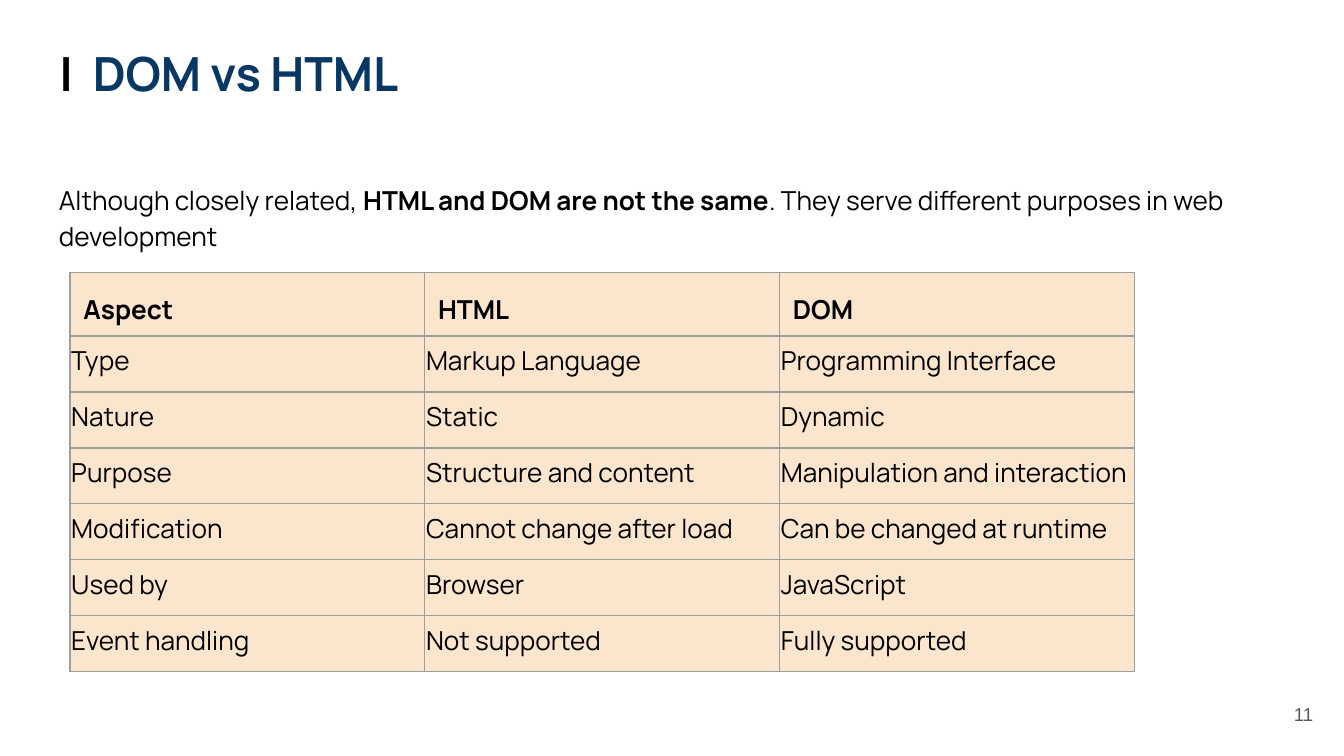
from lxml.etree import SubElement
from pptx import Presentation
from pptx.dml.color import RGBColor
from pptx.enum.text import MSO_ANCHOR as Anchor, MSO_AUTO_SIZE as AutoSize, PP_ALIGN as Align
from pptx.oxml.ns import qn
from pptx.util import Inches, Pt

FONT = "Manrope"
BLACK = "000000"
NAVY = "073763"
GREY = "595959"
PEACH = "FCE5CD"
BORDER = "9E9E9E"

ROWS = [
    ("Aspect", "HTML", "DOM"),
    ("Type", "Markup Language", "Programming Interface"),
    ("Nature", "Static", "Dynamic"),
    ("Purpose", "Structure and content", "Manipulation and interaction"),
    ("Modification", "Cannot change after load", "Can be changed at runtime"),
    ("Used by", "Browser", "JavaScript"),
    ("Event handling", "Not supported", "Fully supported"),
]
HEADER_HEIGHT = Inches(0.47)
ROW_HEIGHT = Inches(2.5) // 6


def rgb(color):
    return RGBColor.from_string(color)


def format_run(run, size, color=BLACK, bold=False, font=FONT):
    run.font.name = font
    run.font.size = Pt(size)
    run.font.bold = bold
    run.font.color.rgb = rgb(color)


def add_run(paragraph, text, size, color=BLACK, bold=False):
    run = paragraph.add_run()
    run.text = text
    format_run(run, size, color, bold)


def set_margins(target, margin):
    target.margin_left = target.margin_right = Inches(margin)
    target.margin_top = target.margin_bottom = Inches(margin)


def prepare_frame(shape, anchor=Anchor.TOP):
    text_frame = shape.text_frame
    text_frame.word_wrap = True
    text_frame.auto_size = AutoSize.NONE
    text_frame.vertical_anchor = anchor
    set_margins(text_frame, 0.1)
    return text_frame


def add_text_box(slide, left, top, width, height, anchor=Anchor.TOP):
    shape = slide.shapes.add_textbox(Inches(left), Inches(top), Inches(width), Inches(height))
    return prepare_frame(shape, anchor)


def fill_title(slide):
    title = slide.shapes.title
    title.left, title.top = Inches(0.34), Inches(0.23)
    title.width, title.height = Inches(8.17), Inches(0.63)
    paragraph = prepare_frame(title).paragraphs[0]
    paragraph.alignment = Align.LEFT
    tab_list = SubElement(paragraph._p.get_or_add_pPr(), qn("a:tabLst"))
    SubElement(tab_list, qn("a:tab"), pos=str(Inches(0.25)), algn="l")
    add_run(paragraph, "|\t", 25.2, bold=True)
    add_run(paragraph, "DOM vs HTML", 25.2, NAVY, bold=True)


def add_introduction(slide):
    paragraph = add_text_box(slide, 0.34, 1.24, 8.94, 1.59).paragraphs[0]
    paragraph.line_spacing = 1.15
    add_run(paragraph, "Although closely related, ", 14)
    add_run(paragraph, "HTML and DOM are not the same", 14, bold=True)
    add_run(paragraph, ". They serve different purposes in web development", 14)


def add_page_number(slide, number):
    paragraph = add_text_box(slide, 9.27, 5.1, 0.6, 0.43, Anchor.MIDDLE).paragraphs[0]
    paragraph.text = str(number)
    paragraph.alignment = Align.RIGHT
    format_run(paragraph.runs[0], 10, GREY, font="Arial")


def set_borders(cell):
    properties = cell._tc.get_or_add_tcPr()
    for side in ("lnL", "lnR", "lnT", "lnB"):
        line = SubElement(properties, qn(f"a:{side}"), w=str(Pt(0.75)))
        fill = SubElement(line, qn("a:solidFill"))
        SubElement(fill, qn("a:srgbClr"), val=BORDER)


def fill_cell(cell, text, header):
    set_borders(cell)
    cell.fill.solid()
    cell.fill.fore_color.rgb = rgb(PEACH)
    set_margins(cell, 0.1 if header else 0.01)
    if header:
        cell.margin_bottom = Inches(0.06)
    paragraph = cell.text_frame.paragraphs[0]
    paragraph.text = text
    paragraph.line_spacing = 1.15
    format_run(paragraph.runs[0], 14, bold=header)


def add_comparison_table(slide):
    height = HEADER_HEIGHT + ROW_HEIGHT * (len(ROWS) - 1)
    frame = slide.shapes.add_table(len(ROWS), len(ROWS[0]), Inches(0.52), Inches(2.03),
                                   Inches(7.92), height)
    table = frame.table
    table.first_row = False
    table.horz_banding = False
    for row_index, texts in enumerate(ROWS):
        header = row_index == 0
        table.rows[row_index].height = HEADER_HEIGHT if header else ROW_HEIGHT
        for column_index, text in enumerate(texts):
            fill_cell(table.cell(row_index, column_index), text, header)


def main():
    presentation = Presentation()
    presentation.slide_width = Inches(10)
    presentation.slide_height = Inches(10) * 9 // 16
    slide = presentation.slides.add_slide(presentation.slide_layouts[5])
    fill_title(slide)
    add_page_number(slide, 11)
    add_introduction(slide)
    add_comparison_table(slide)
    presentation.save("out.pptx")


if __name__ == "__main__":
    main()
